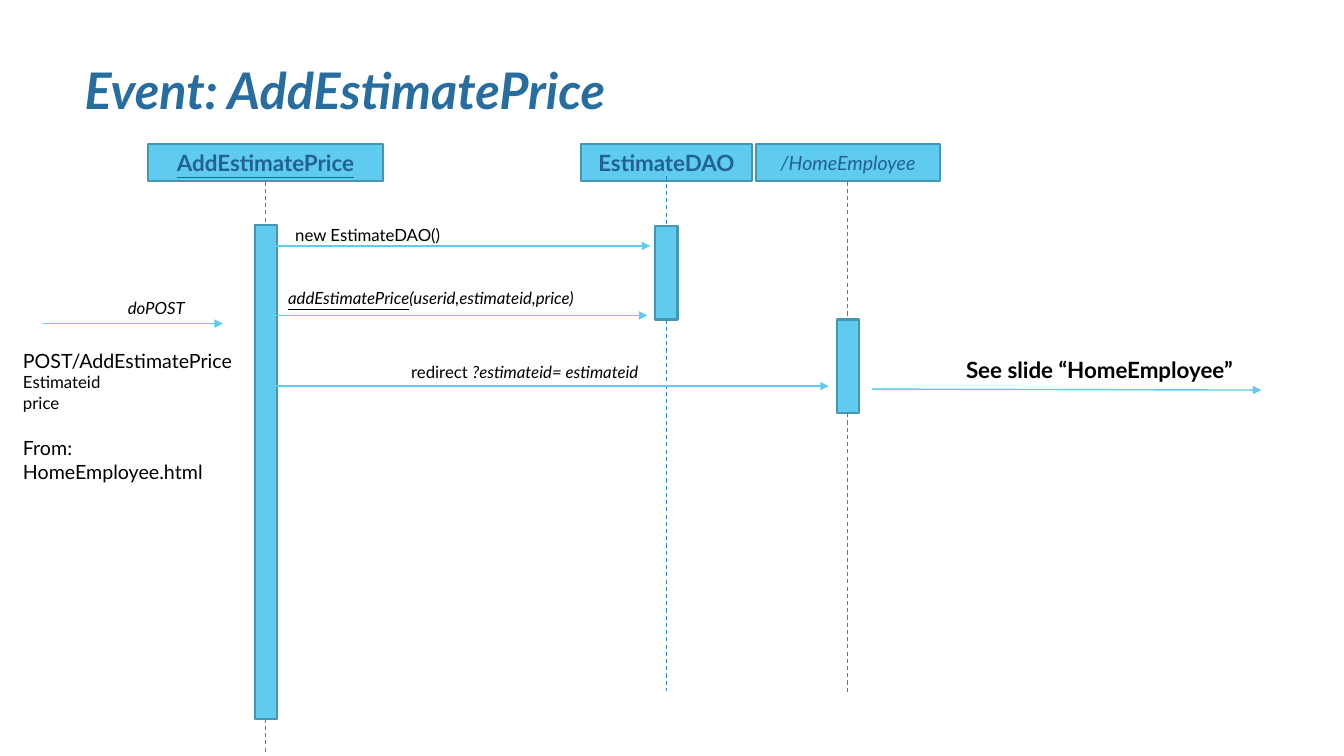
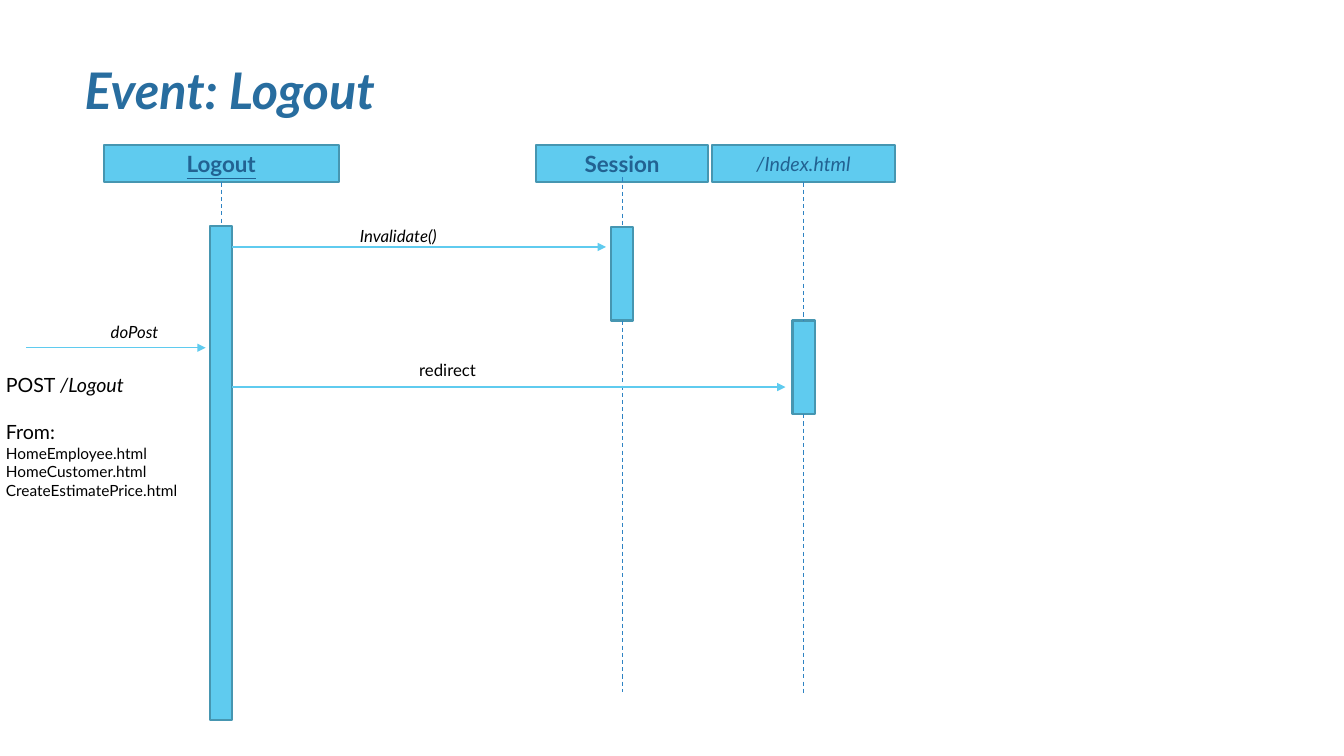
from lxml import etree
from pptx import Presentation
from pptx.dml.color import RGBColor
from pptx.enum import dml, shapes, text
from pptx.oxml import ns
from pptx.util import Inches, Pt

COLORS = {
    "title": "286D9F",
    "header_text": "226292",
    "box": "5FCBEF",
    "edge": "4696B1",
    "lifeline": "2E83C3",
    "ink": "000000",
}
FONT = "Lato"
TITLE_ONLY = 5
HEADER_HEIGHT = 0.37
BAR_WIDTH = 0.22

# Lanes, measured from the top left corner of the diagram
LANES = [
    dict(left=0, width=2.33, start=0.37, bar_top=0.80, bar_height=4.9),
    dict(left=4.29, width=1.7, start=0.32, bar_top=0.81, bar_height=0.93, end=5.43),
    dict(left=6.03, width=1.82, start=0.37, bar_top=1.74, bar_height=0.93, end=5.46),
]
MESSAGE_START = 1.27


def color(name):
    return RGBColor.from_string(COLORS[name])


def write(para, words, size=12, bold=False, italic=False, underline=False, ink="ink"):
    """Add one formatted span to a paragraph."""
    span = para.add_run()
    span.text = words
    font = span.font
    font.name, font.size = FONT, Pt(size)
    font.bold, font.italic, font.underline = bold, italic, underline
    font.color.rgb = color(ink)


def add_label(page, left, top, width, height, paras, wrap=True, align=None):
    """Add a text box; each paragraph is (space before, list of (words, format))."""
    box = page.shapes.add_textbox(*map(Inches, (left, top, width, height)))
    frame = box.text_frame
    frame.word_wrap = wrap
    for index, (gap, spans) in enumerate(paras):
        para = frame.add_paragraph() if index else frame.paragraphs[0]
        para.space_before = Pt(gap)
        para.alignment = align
        for words, style in spans:
            write(para, words, **style)


def add_box(page, left, top, width, height):
    box = page.shapes.add_shape(
        shapes.MSO_SHAPE.RECTANGLE, *map(Inches, (left, top, width, height)))
    box.shadow.inherit = False
    box.fill.solid()
    box.fill.fore_color.rgb = color("box")
    box.line.color.rgb = color("edge")
    box.line.width = Pt(1.5)
    return box


def add_line(page, x1, y1, x2, y2, ink="box", weight=1.0, arrow=True):
    """Add a solid arrow, or a dashed line when arrow is False."""
    line = page.shapes.add_connector(
        shapes.MSO_CONNECTOR.STRAIGHT, *map(Inches, (x1, y1, x2, y2)))
    line.line.color.rgb = color(ink)
    line.line.width = Pt(weight)
    if arrow:
        etree.SubElement(line.line._get_or_add_ln(), ns.qn("a:tailEnd"), type="triangle")
    else:
        line.line.dash_style = dml.MSO_LINE.DASH
    etree.SubElement(line._element.spPr, ns.qn("a:effectLst"))


def add_title(page, words):
    title = page.shapes.title
    title.left, title.top, title.width, title.height = map(Inches, (0.74, 0.52, 6.72, 0.74))
    frame = title.text_frame
    frame.auto_size = text.MSO_AUTO_SIZE.NONE
    frame.vertical_anchor = text.MSO_ANCHOR.MIDDLE
    para = frame.paragraphs[0]
    para.alignment = text.PP_ALIGN.LEFT
    write(para, words, size=36, bold=True, italic=True, ink="title")


def add_lane(page, x, y, name, style, left, width, start, bar_top, bar_height, end=None):
    """Header, activation bar and dashed lifeline of one participant."""
    header = add_box(page, x + left, y, width, HEADER_HEIGHT)
    frame = header.text_frame
    frame.vertical_anchor = text.MSO_ANCHOR.MIDDLE
    para = frame.paragraphs[0]
    para.alignment = text.PP_ALIGN.CENTER
    write(para, name, ink="header_text", **style)

    center = x + left + width / 2
    bar_bottom = bar_top + bar_height
    add_box(page, center - BAR_WIDTH / 2, y + bar_top, BAR_WIDTH, bar_height)
    pieces = [(start, bar_top)] + ([(bar_bottom, end)] if end else [])
    for begin, stop in pieces:
        add_line(page, center, y + begin, center, y + stop,
                 ink="lifeline", weight=0.75, arrow=False)


def add_diagram(page, x, y, names, messages, first_end=None):
    """Lanes and the messages sent from the first one, placed from (x, y)."""
    styles = [dict(size=16, bold=True, underline=True),
              dict(size=16, bold=True),
              dict(size=14, italic=True)]
    ends = [dict(end=first_end), {}, {}]
    for name, style, lane, end in zip(names, styles, LANES, ends):
        add_lane(page, x, y, name, style, **{**lane, **end})
    for level, stop, label_left, rise, label_width, spans in messages:
        add_line(page, x + MESSAGE_START, y + level, x + stop, y + level)
        add_label(page, x + label_left, y + level - rise, label_width, 0.3, [(0, spans)])


def add_request(page, x, y, method, width, height, note):
    """Incoming arrow with its method above and its details below."""
    add_line(page, x, y, x + 1.78, y)
    add_label(page, x + 0.74, y - 0.31, 0.9, 0.3, [(0, [(method, dict(italic=True))])])
    add_label(page, x - 0.3, y + 0.2, width, height, note)


def add_event_page(deck, title):
    page = deck.slides.add_slide(deck.slide_layouts[TITLE_ONLY])
    add_title(page, title)
    return page


def build_add_price(deck):
    page = add_event_page(deck, "Event: AddEstimatePrice")
    add_diagram(
        page, 1.47, 1.43, ["AddEstimatePrice", "EstimateDAO", "/HomeEmployee"],
        [(1.01, 4.98, 1.36, 0.26, 3.73, [("new EstimateDAO()", {})]),
         (1.70, 4.95, 1.29, 0.32, 3.73,
          [("addEstimatePrice", dict(italic=True, underline=True)),
           ("(userid,estimateid,price)", dict(italic=True))]),
         (2.40, 6.75, 2.51, 0.29, 2.72,
          [("redirect ", {}), ("?estimateid= estimateid", dict(italic=True))])],
        first_end=6.03)
    # Follow-up on another slide
    add_label(page, 9.36, 3.48, 3.09, 0.37,
              [(0, [("See slide “HomeEmployee”", dict(size=16, bold=True))])],
              wrap=False, align=text.PP_ALIGN.CENTER)
    add_line(page, 8.65, 3.86, 12.51, 3.87)
    add_request(page, 0.43, 3.21, "doPOST", 2.3, 1.45, [
        (0, [("POST/AddEstimatePrice", dict(size=14))]),
        (0, [("Estimateid", {})]),
        (0, [("price", {})]),
        (17, [("From: HomeEmployee.html", dict(size=14))])])


def build_logout(deck):
    page = add_event_page(deck, "Event: Logout")
    add_diagram(
        page, 1.03, 1.44, ["Logout", "Session", "/Index.html"],
        [(1.01, 4.98, 2.44, 0.26, 1.45, [("Invalidate()", dict(italic=True))]),
         (2.40, 6.76, 3.03, 0.32, 1.03, [("redirect", {})])])
    add_request(page, 0.26, 3.45, "doPost", 2.0, 1.36, [
        (0, [("POST ", dict(size=14)), ("/Logout", dict(size=14, italic=True))]),
        (17, [("From: ", dict(size=14)), ("HomeEmployee.html", dict(size=11))]),
        (0, [("HomeCustomer.html", dict(size=11))]),
        (0, [("CreateEstimatePrice.html", dict(size=11))])])


def main():
    deck = Presentation()
    deck.slide_width, deck.slide_height = Inches(13.33), Inches(7.5)
    build_add_price(deck)
    build_logout(deck)
    deck.save("out.pptx")


if __name__ == "__main__":
    main()
